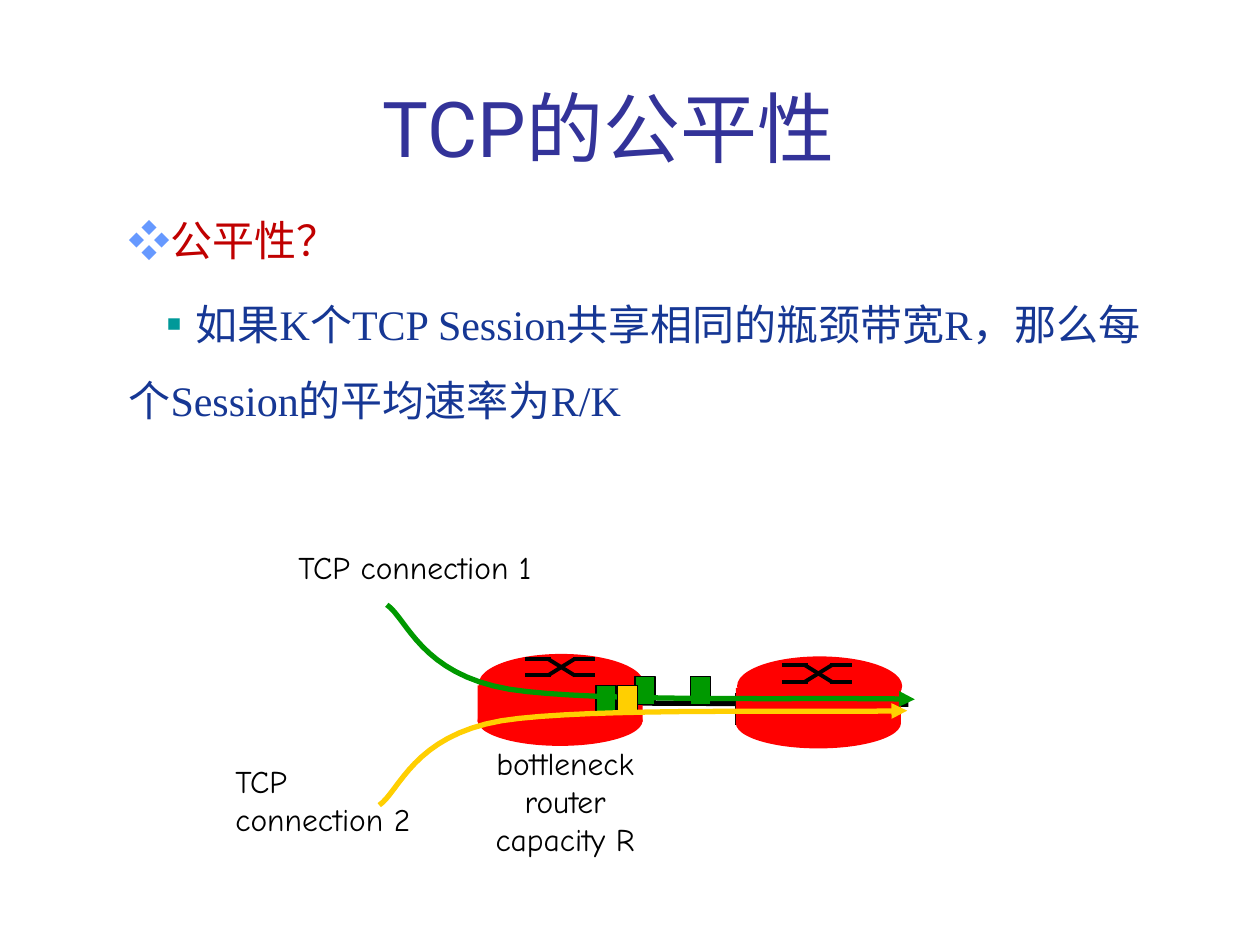
from pptx import Presentation, util as u
from pptx.dml.color import RGBColor
from pptx.enum import shapes, text
from pptx.oxml.ns import qn
from lxml import etree

HUE = {"title": "333399", "head": "C00000", "body": "163794", "star": "6699FF",
       "mark": "009999", "red": "FF0000", "green": "009900", "gold": "FFCF01",
       "ink": "000000"}
TITLE = "TCP的公平性"
# first-line indent, space before, runs of (text, font, colour)
POINTS = [
    (0, 0, [("❖", "Arial", "star"), ("公平性？", "Times New Roman", "head")]),
    (0.2, 5, [("▪", "Arial", "mark"),
              ("如果K个TCP Session共享相同的瓶颈带宽R，那么每个Session的平均速率为R/K",
               "Times New Roman", "body")]),
]
LABELS = [
    ((2.27, 4.3, 2.15, 0.4), "LEFT", ["TCP connection 1"]),
    ((3.76, 5.86, 1.45, 1), "CENTER", ["bottleneck", "router", "capacity R"]),
    ((1.77, 6, 1.66, 0.7), "LEFT", ["TCP", "connection 2"]),
]
# left and top of the body, then of the crossed-lines icon
ROUTERS = [((3.79, 5.19), (4.17, 5.23)), ((5.84, 5.21), (6.21, 5.28))]
# shape, offset from the body corner, size
PARTS = [("OVAL", 0, 0.33, 1.31, 0.4), ("RECTANGLE", 0, 0.25, 1.31, 0.29),
         ("OVAL", 0.01, 0, 1.31, 0.47)]
PACKETS = [(5.48, 5.37), (4.73, 5.44), (5.04, 5.37)]
FLOW = [(3.07, 4.8), (3.23, 4.91), (3.34, 5.35), (4.04, 5.47),
        (4.73, 5.58), (6.59, 5.53), (7.26, 5.55)]
MIRROR = [(x - 0.06, 11.19 - y) for x, y in FLOW]
STEPS = 16

deck = Presentation()
deck.slide_width, deck.slide_height = u.Inches(10), u.Inches(7.5)
slide = deck.slides.add_slide(deck.slide_layouts[1])
tree = slide.shapes


def ins(*nums):
    return [u.Inches(n) for n in nums]


def rgb(name):
    return RGBColor.from_string(HUE[name])


def place(shape, *box):
    shape.left, shape.top, shape.width, shape.height = ins(*box)


def write(para, words, size, font, hue):
    run = para.add_run()
    run.text = words
    run.font.size, run.font.name = u.Pt(size), font
    run.font.color.rgb = rgb(hue)


def block(kind, box, hue, edge=False):
    shape = tree.add_shape(getattr(shapes.MSO_SHAPE, kind), *ins(*box))
    shape.shadow.inherit = False
    shape.fill.solid()
    shape.fill.fore_color.rgb = rgb(hue)
    if edge:
        shape.line.color.rgb = rgb("ink")
        shape.line.width = u.Pt(0.75)
    else:
        shape.line.fill.background()


def packet(x, y, hue):
    block("RECTANGLE", (x, y, 0.16, 0.22), hue, True)


def link(x1, y1, x2, y2, width):
    line = tree.add_connector(shapes.MSO_CONNECTOR.STRAIGHT, *ins(x1, y1, x2, y2))
    line.line.color.rgb = rgb("ink")
    line.line.width = u.Pt(width)
    etree.SubElement(line._element.spPr, qn("a:effectLst"))


def router(body, icon):
    left, top = body
    for kind, dx, dy, wide, high in PARTS:
        block(kind, (left + dx, top + dy, wide, high), "red")
    x, y = icon
    low = y + 0.13
    for start, end in ((y, low), (low, y)):
        link(x, start, x + 0.2, start, 2.25)
        link(x + 0.18, start, x + 0.39, end, 2.25)
        link(x + 0.38, end, x + 0.55, end, 2.25)


def curve(knots, hue):
    """Draw joined cubic Bezier pieces as one arrow."""
    dots = []
    for i in range(0, len(knots) - 1, 3):
        for k in range(1, STEPS + 1):
            t = k / STEPS
            parts = ((1 - t) ** 3, 3 * t * (1 - t) ** 2, 3 * t * t * (1 - t), t ** 3)
            dots.append(tuple(u.Inches(sum(p * knot[axis] for p, knot
                                           in zip(parts, knots[i:i + 4])))
                              for axis in (0, 1)))
    pen = tree.build_freeform(*ins(*knots[0]))
    pen.add_line_segments(dots, close=False)
    shape = pen.convert_to_shape()
    shape.shadow.inherit = False
    shape.fill.background()
    shape.line.color.rgb = rgb(hue)
    shape.line.width = u.Pt(3)
    etree.SubElement(shape.line._get_or_add_ln(), qn("a:tailEnd"), type="triangle")


def label(box, align, lines):
    frame = tree.add_textbox(*ins(*box)).text_frame
    frame.word_wrap = False
    frame.auto_size = text.MSO_AUTO_SIZE.SHAPE_TO_FIT_TEXT
    for i, words in enumerate(lines):
        para = frame.add_paragraph() if i else frame.paragraphs[0]
        para.alignment = getattr(text.PP_ALIGN, align)
        write(para, words, 18, "Comic Neue", "ink")


title = tree.title
place(title, 0.58, 0.17, 8.5, 1.25)
title.text_frame.vertical_anchor = text.MSO_ANCHOR.BOTTOM
head = title.text_frame.paragraphs[0]
head.alignment = text.PP_ALIGN.CENTER
write(head, TITLE, 44, "Roboto", "title")

body = slide.placeholders[1]
place(body, 0.69, 1.45, 8.74, 1.92)
frame = body.text_frame
frame.auto_size = text.MSO_AUTO_SIZE.NONE
for i, (indent, space, runs) in enumerate(POINTS):
    para = frame.add_paragraph() if i else frame.paragraphs[0]
    props = para._p.get_or_add_pPr()
    props.set("marL", str(u.Inches(0.23)))
    props.set("indent", str(u.Inches(indent)))
    etree.SubElement(props, qn("a:buNone"))
    para.line_spacing, para.space_before = 1.5, u.Pt(space)
    for words, font, hue in runs:
        write(para, words, 24, font, hue)

link(5.09, 5.58, 7.21, 5.59, 3)
link(5.84, 5.5, 5.84, 5.75, 1)
for spot in ROUTERS:
    router(*spot)
for x, y in PACKETS:
    packet(x, y, "green")
for item in LABELS:
    label(*item)
curve(FLOW, "green")
packet(4.9, 5.44, "gold")
curve(MIRROR, "gold")

deck.save("out.pptx")
